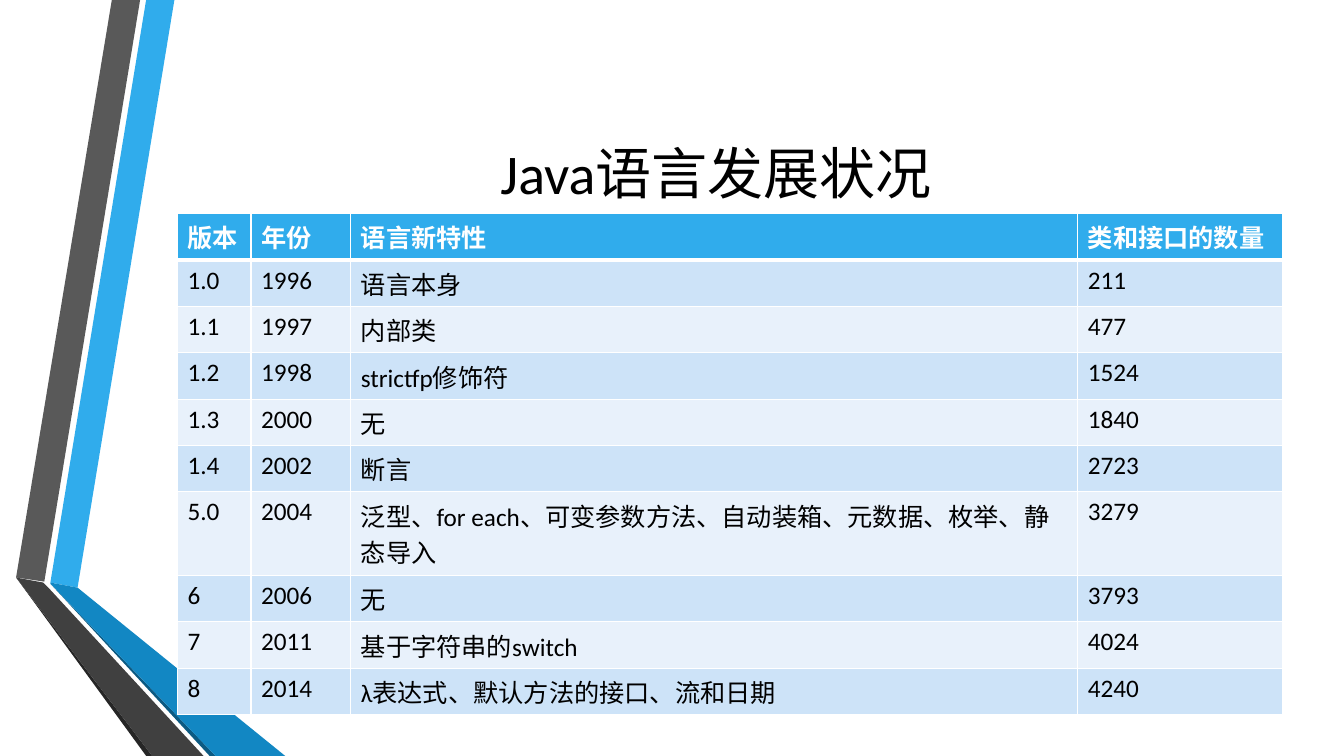
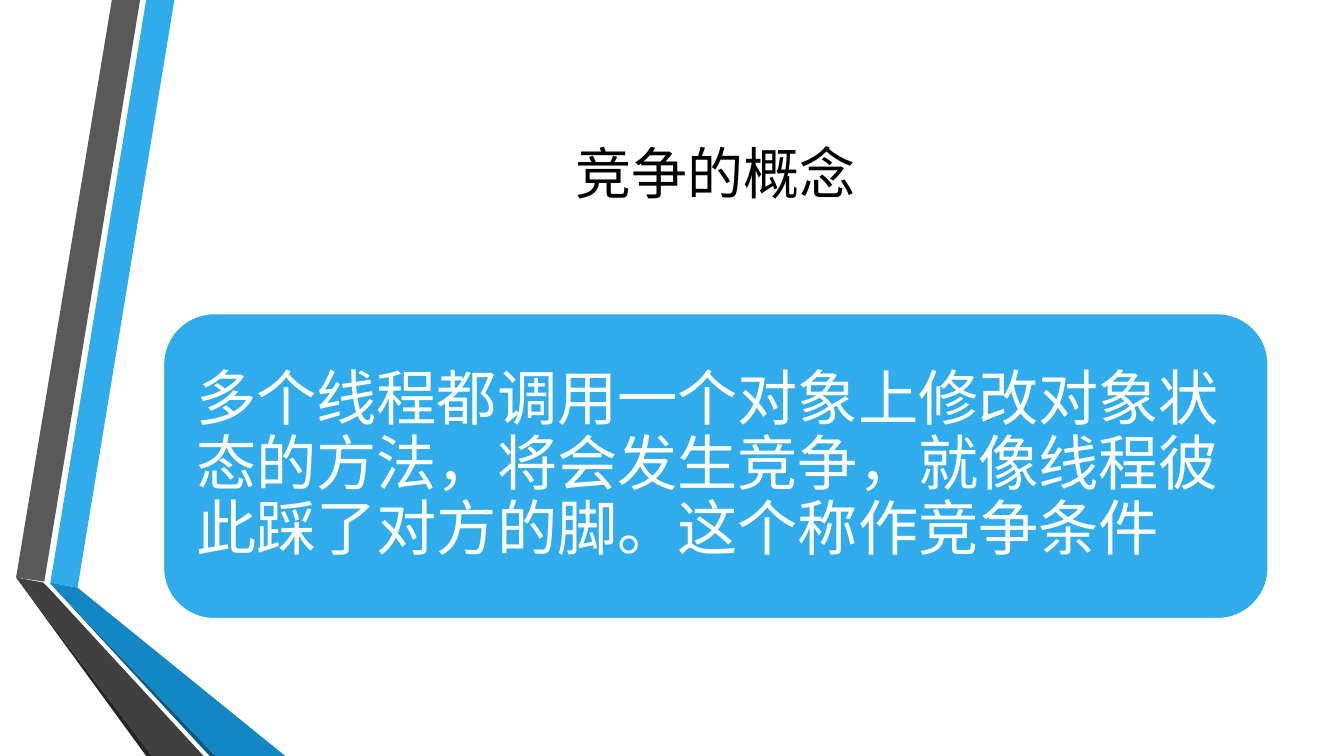
from lxml import etree
from pptx import Presentation
from pptx import util as u
from pptx.dml.color import RGBColor
from pptx.enum import shapes, text
from pptx.oxml import ns

BLUE, WHITE, BLACK = "30ACEC", "FFFFFF", "000000"
ROW_FILLS = ["E8F1FB", "CDE3F8"]
FONT = "Calibri"
BANDS = [
    (BLUE, [(0.5, 5.78), (0.77, 5.83), (1.73, 0), (1.45, 0)]),
    ("595959", [(1.39, 0), (1.11, 0), (0.16, 5.73), (0.44, 5.77)]),
    ("262626", [(0.16, 5.73), (1.45, 7.5), (1.51, 7.5)]),
    ("0C5A82", [(0.5, 5.79), (2.08, 7.5), (2.14, 7.5)]),
    ("1287C3", [(0.5, 5.79), (2.14, 7.5), (2.83, 7.5), (0.77, 5.83), (0.5, 5.78)]),
    ("404040", [(2.02, 7.5), (0.48, 5.83), (0.43, 5.78), (0.16, 5.73), (1.51, 7.5)]),
]
TITLES = ["Java语言发展状况", "竞争的概念"]
COLUMN_WIDTHS = [0.73, 0.99, 7.21, 2.03]
ROW_HEIGHT, TALL_ROW_HEIGHT = 0.46, 0.83
VERSIONS = [
    ("版本", "年份", "语言新特性", "类和接口的数量"),
    ("1.0", "1996", "语言本身", "211"),
    ("1.1", "1997", "内部类", "477"),
    ("1.2", "1998", "strictfp修饰符", "1524"),
    ("1.3", "2000", "无", "1840"),
    ("1.4", "2002", "断言", "2723"),
    ("5.0", "2004", "泛型、for each、可变参数方法、自动装箱、元数据、枚举、静态导入", "3279"),
    ("6", "2006", "无", "3793"),
    ("7", "2011", "基于字符串的switch", "4024"),
    ("8", "2014", "λ表达式、默认方法的接口、流和日期", "4240"),
]


def paint(target, color):
    target.solid()
    target.fore_color.rgb = RGBColor.from_string(color)


def write(frame, content, size, color, bold=False):
    frame.text = content
    font = frame.paragraphs[0].runs[0].font
    font.name, font.size, font.bold = FONT, u.Pt(size), bold
    paint(font.fill, color)


deck = Presentation()
deck.slide_width, deck.slide_height = u.Inches(13.33), u.Inches(7.5)

for title in TITLES:
    page = deck.slides.add_slide(deck.slide_layouts[6])
    for color, outline in BANDS:
        points = [(u.Inches(x), u.Inches(y)) for x, y in outline]
        builder = page.shapes.build_freeform(*points[0])
        builder.add_line_segments(points[1:], close=True)
        band = builder.convert_to_shape()
        band.shadow.inherit = False
        paint(band.fill, color)
        band.line.fill.background()

    box = page.shapes.add_textbox(u.Inches(1.62), u.Inches(0.75), u.Inches(10.96), u.Inches(1.92))
    box.text_frame.word_wrap = True
    box.text_frame.vertical_anchor = text.MSO_ANCHOR.MIDDLE
    write(box.text_frame, title, 40, BLACK)
    box.text_frame.paragraphs[0].alignment = text.PP_ALIGN.CENTER

history_page, race_page = deck.slides

table = history_page.shapes.add_table(
    len(VERSIONS), len(COLUMN_WIDTHS),
    u.Inches(1.76), u.Inches(2.12), u.Inches(10.96), u.Inches(ROW_HEIGHT * len(VERSIONS)),
).table
for column, width in zip(table.columns, COLUMN_WIDTHS):
    column.width = u.Inches(width)
for row_index, version in enumerate(VERSIONS):
    header = row_index == 0
    table.rows[row_index].height = u.Inches(TALL_ROW_HEIGHT if version[0] == "5.0" else ROW_HEIGHT)
    for column_index, content in enumerate(version):
        cell = table.cell(row_index, column_index)
        write(cell.text_frame, content, 18, WHITE if header else BLACK, header)
        properties = cell._tc.get_or_add_tcPr()
        for side in ("lnL", "lnR", "lnT", "lnB"):
            thick = (header and side == "lnB") or (row_index == 1 and side == "lnT")
            border = etree.SubElement(properties, ns.qn("a:" + side), w=str(u.Pt(3 if thick else 1)))
            fill = etree.SubElement(border, ns.qn("a:solidFill"))
            etree.SubElement(fill, ns.qn("a:srgbClr"), val=WHITE)
        paint(cell.fill, BLUE if header else ROW_FILLS[row_index % 2])

panel = race_page.shapes.add_shape(
    shapes.MSO_SHAPE.ROUNDED_RECTANGLE,
    u.Inches(1.62), u.Inches(3.11), u.Inches(10.96), u.Inches(3.03),
)
panel.shadow.inherit = False
paint(panel.fill, BLUE)
paint(panel.line.fill, WHITE)
panel.line.width = u.Pt(1.25)
frame = panel.text_frame
frame.word_wrap = True
frame.vertical_anchor = text.MSO_ANCHOR.MIDDLE
frame.margin_left = frame.margin_right = frame.margin_top = frame.margin_bottom = u.Inches(0.18)
write(frame, "多个线程都调用一个对象上修改对象状态的方法，将会发生竞争，就像线程彼此踩了对方的脚。这个称作竞争条件", 43, WHITE)
frame.paragraphs[0].alignment = text.PP_ALIGN.LEFT
frame.paragraphs[0].line_spacing = 0.9

deck.save("out.pptx")
